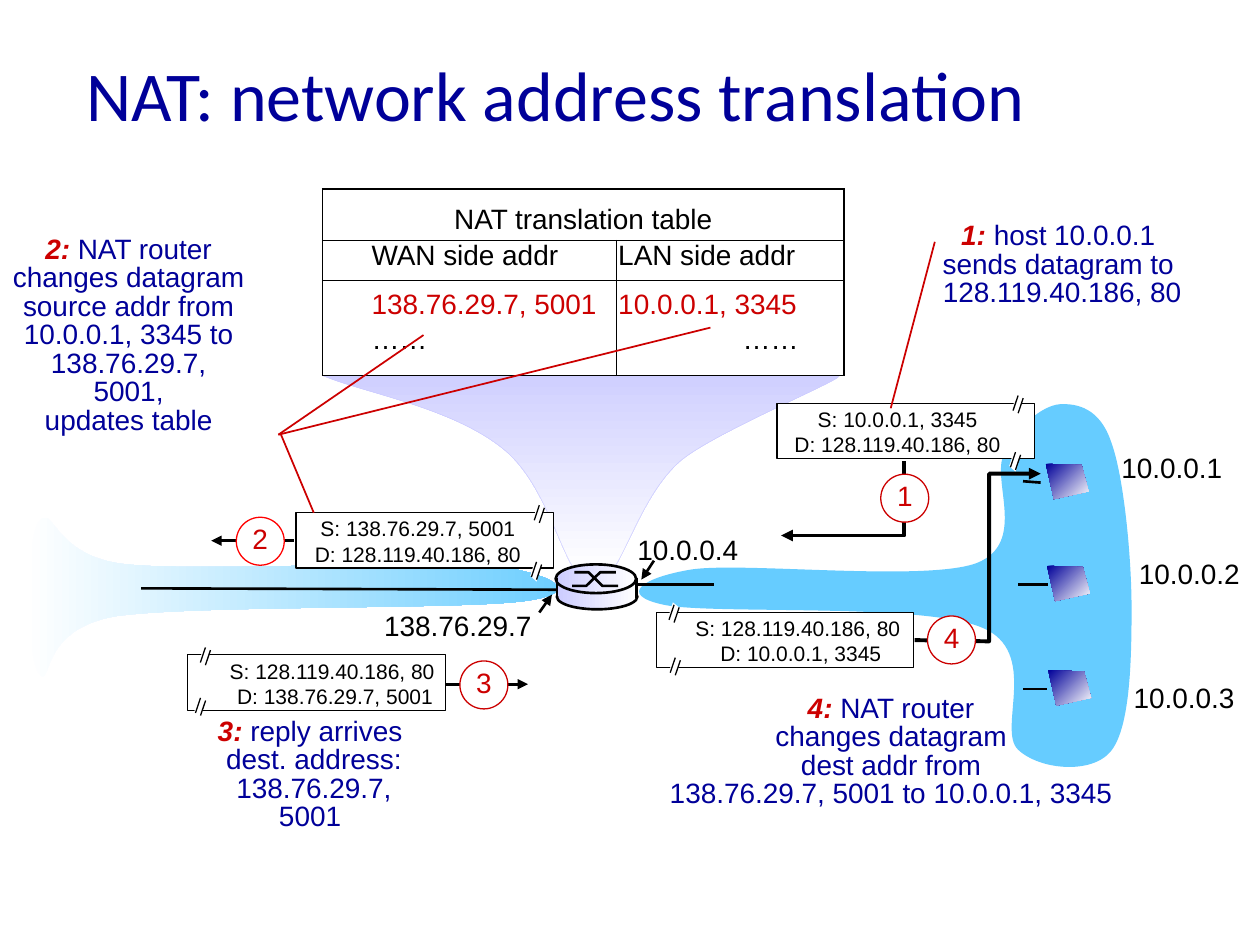
from dataclasses import dataclass
from lxml import etree
from pptx import Presentation
from pptx.dml.color import RGBColor as RGB
from pptx.enum import shapes, text
from pptx.oxml.ns import qn
from pptx.util import Pt


@dataclass(frozen=True)
class Theme:
    navy: str = "000099"
    red: str = "CC0000"
    hot: str = "FF0000"
    sky: str = "66CCFF"
    lilac: str = "CCCCFF"
    black: str = "000000"
    white: str = "FFFFFF"
    font: str = "Arial"
    head: str = "Calibri"
    title: int = 40
    body: int = 16
    small: int = 12


T = Theme()
RECT, OVAL = shapes.MSO_SHAPE.RECTANGLE, shapes.MSO_SHAPE.OVAL
MID, LEFT, RIGHT = text.PP_ALIGN.CENTER, text.PP_ALIGN.LEFT, text.PP_ALIGN.RIGHT

prs = Presentation()
prs.slide_width, prs.slide_height = Pt(720), Pt(540)
slide = prs.slides.add_slide(prs.slide_layouts[5])
tree = slide.shapes


def say(frame, words, lead="", size=T.body, color=T.black, font=T.font,
        align=MID, gap=None, wrap=False, fit=text.MSO_AUTO_SIZE.SHAPE_TO_FIT_TEXT):
    """Write lines into a text frame, or into a new box given as (x, y, w, h)."""
    if isinstance(frame, tuple):
        frame = tree.add_textbox(*map(Pt, frame)).text_frame
    if fit is not None:
        frame.word_wrap, frame.auto_size = wrap, fit
    for i, line in enumerate(words.split("\n")):
        para = frame.paragraphs[0] if i == 0 else frame.add_paragraph()
        para.alignment = align
        if gap:
            para.line_spacing = gap
        parts = [(lead, True), (line, False)] if lead and i == 0 else [(line, False)]
        for part, strong in parts:
            run = para.add_run()
            run.text = part
            run.font.name, run.font.size = font, Pt(size)
            run.font.bold = run.font.italic = strong
            run.font.color.rgb = RGB.from_string(T.red if strong else color)


def draw(pts, kind=None, fill=None, turn=0, line=None, wide=1.5, head=False):
    """Draw a preset shape in box pts, a line of two points, or an outline.

    A six-number point is a cubic curve; a pair of fills is a gradient whose
    clockwise angle is turn; head puts an arrowhead on the first point.
    """
    if kind:
        shape = tree.add_shape(kind, *map(Pt, pts))
    elif len(pts) == 2:
        shape = tree.add_connector(shapes.MSO_CONNECTOR.STRAIGHT,
                                   *map(Pt, pts[0] + pts[1]))
    else:
        flat = [(Pt(p[k]), Pt(p[k + 1])) for p in pts for k in range(0, len(p), 2)]
        pen = tree.build_freeform(*flat[0])
        pen.add_line_segments(flat[1:], close=bool(fill))
        shape = pen.convert_to_shape()
        steps = iter(list(shape.element.iter(qn("a:lnTo"))))
        for p in pts[1:]:
            step = next(steps)
            if len(p) == 6:  # join three straight steps into one curve
                curve = etree.Element(qn("a:cubicBezTo"))
                step.addprevious(curve)
                for part in (step, next(steps), next(steps)):
                    curve.append(part[0])
                    part.getparent().remove(part)
    if line:
        shape.line.color.rgb = RGB.from_string(line)
        shape.line.width = Pt(wide)
    else:
        shape.line.fill.background()
    if head:
        etree.SubElement(shape.element.spPr.find(qn("a:ln")), qn("a:headEnd"),
                         type="triangle")
    if not kind and len(pts) == 2:
        etree.SubElement(shape.element.spPr, qn("a:effectLst"))
        return
    shape.shadow.inherit = False
    if not fill:
        shape.fill.background()
    elif isinstance(fill, tuple):
        shape.fill.gradient()
        shape.fill.gradient_angle = (360 - turn) % 360
        for stop, color, spot in zip(shape.fill.gradient_stops, fill, (0, 1)):
            stop.color.rgb, stop.position = RGB.from_string(color), spot
    else:
        shape.fill.solid()
        shape.fill.fore_color.rgb = RGB.from_string(fill)


# Title
title = tree.title
title.left, title.top, title.width, title.height = map(Pt, (42, 18, 637, 71))
title.text_frame.vertical_anchor = text.MSO_ANCHOR.MIDDLE
say(title.text_frame, "NAT: network address translation", size=T.title, color=T.navy,
    font=T.head, align=LEFT, wrap=True, fit=text.MSO_AUTO_SIZE.NONE)

# Wide and local network clouds, and the funnel from router to table
draw([(282.2, 323.3), (244, 319.7, 116.6, 326.9, 73.4, 322.6),
      (30.2, 319, 31, 287.3, 22.3, 298), (14.4, 308, 15, 375.8, 22.3, 385),
      (30.2, 394.6, 21, 359.3, 67, 352), (113.8, 345.6, 265, 348.5, 300.2, 343.4),
      (336.2, 338.4, 314, 327.6, 282.2, 323.3)], fill=(T.white, T.sky))
draw([(395.3, 325.4), (425.5, 321, 528.5, 332.6, 558, 321.8),
      (587.5, 310.3, 566, 274.3, 573.8, 259.2), (581, 244, 595.4, 231.8, 605.5, 231),
      (615.6, 230.4, 628.6, 233.3, 635, 252.7), (642.2, 272.2, 646.6, 318.2, 646.6, 347.8),
      (646.6, 377.3, 645.8, 415.4, 635, 429), (624.2, 442.8, 594, 440, 581.8, 428.4),
      (569.5, 417, 594.7, 372.2, 561, 358.6), (527, 344.2, 406.8, 351.4, 379.4, 345.6),
      (352, 339.8, 368, 329.8, 395.3, 325.4)], fill=T.sky)
draw([(184.3, 214.6), (184.3, 214.6, 444.2, 206.6, 478.8, 214.6),
      (489, 213.8, 411, 245.5, 389.5, 262.8), (368, 280.8, 357.8, 317.5, 348.5, 327.6),
      (329.8, 327.6), (319.7, 315.4, 311, 275, 287.3, 256.3),
      (257.8, 232.6, 208, 224.6, 184.3, 214.6)],
     fill=(T.lilac, T.white), turn=90, line=T.lilac, wide=0.25)

# Translation table
rows = [("NAT translation table", ""), ("WAN side addr", "LAN side addr"),
        ("138.76.29.7, 5001", "10.0.0.1, 3345"), ("……", "……")]
grid = tree.add_table(4, 2, Pt(184.3), Pt(108), Pt(298), Pt(106.6)).table
grid.first_row = grid.horz_banding = False
for col, wide in zip(grid.columns, (168, 130)):
    col.width = Pt(wide)
for row, tall in zip(grid.rows, (29.4, 23, 25, 29.2)):
    row.height = Pt(tall)
grid.cell(0, 0).merge(grid.cell(0, 1))
for r, pair in enumerate(rows):
    for c, words in enumerate(pair):
        cell = grid.cell(r, c)
        cell.margin_top, cell.margin_bottom = Pt((6, 0, 3, 0)[r]), 0
        cell.margin_left = Pt(0 if r == 0 else (28, 1)[c])
        cell.margin_right = Pt(26 if r == 3 and c else 0)
        cell.vertical_anchor = text.MSO_ANCHOR.TOP if r in (1, 3) else text.MSO_ANCHOR.MIDDLE
        cell.fill.solid()
        cell.fill.fore_color.rgb = RGB.from_string(T.white)
        if words:
            say(cell.text_frame, words, color=T.red if r == 2 else T.black, fit=None,
                align=MID if r == 0 else RIGHT if r == 3 and c else LEFT)
        sides = {"lnL": c == 0 or r > 0, "lnR": True, "lnT": r < 3, "lnB": r != 2}
        for k, (side, shown) in enumerate(sides.items()):
            edge = etree.Element(qn("a:" + side), w=str(Pt(0.75)))
            ink = etree.SubElement(edge, qn("a:solidFill" if shown else "a:noFill"))
            if shown:
                etree.SubElement(ink, qn("a:srgbClr"), val=T.black)
            cell._tc.tcPr.insert(k, edge)

# Datagrams: box, text shift, torn edges, arrow, numbered circle
grams = [
    ("1", (444, 230.4), -0.7, "S: 10.0.0.1, 3345\nD: 128.119.40.186, 80",
     [(578.2, 224.6), (576.7, 257)], [(446.4, 306), (516.6, 306), (516.6, 263.5)], (503.3, 271)),
    ("4", (375, 350), 13, "S: 128.119.40.186, 80 \nD: 10.0.0.1, 3345",
     [(381.6, 344.2), (382.3, 374.4)],
     [(594.7, 270.7), (565.2, 270.7), (565.2, 366.5), (522.7, 365.8)], (530, 352)),
    ("2", (169.2, 293), 0, "S: 138.76.29.7, 5001\nD: 128.119.40.186, 80",
     [(304.6, 287.3), (303, 319.7)], [(120.7, 309), (167.8, 309)], (135, 295.6)),
    ("3", (107.3, 374.2), 14.6, "S: 128.119.40.186, 80 \nD: 138.76.29.7, 5001",
     [(113.8, 368.6), (111, 397.4)], [(301.7, 391), (255, 391)], (262.8, 377.7))]
for num, (x, y), shift, words, tears, route, (cx, cy) in grams:
    draw((x, y, 147.2, 31.7), RECT, fill=T.white, line=T.black, wide=0.75)
    say((x + shift, y - 1.7, 139.3, 36), words, size=T.small, wrap=True)
    for a, b in tears:
        draw([(a + 2.9, b), (a, b + 9.3), (a + 3.6, b + 12.6), (a + 6.5, b + 2.9)],
             fill=T.white)
        for dx, dy in ((0, 0), (2.9, 1.5)):
            draw([(a + dx + 3.6, b + dy + 1.4), (a + dx + 0.7, b + dy + 10)],
                 line=T.black, wide=0.75)
    draw(route, line=T.black, wide=1.5 if len(route) == 2 else 2.25, head=True)
    draw((cx, cy, 27.4, 27.4), OVAL, fill=T.white, wide=0.75,
         line=T.hot if num == "2" else T.red)
    say((cx + 1.5, cy - 1.2, 24.5, 28.8), num, color=T.red)

# Step notes and their pointers
notes = [
    ("1: ", (531.4, 123.8, 151, 62.6),
     "host 10.0.0.1 \nsends datagram to \n128.119.40.186, 80"),
    ("2: ", (0, 131.6, 147, 117.4),
     "NAT router\nchanges datagram\nsource addr from\n10.0.0.1, 3345 to\n"
     "138.76.29.7, 5001,\nupdates table"),
    ("3: ", (103.7, 407, 147, 62.6), "reply arrives\n dest. address:\n 138.76.29.7, 5001"),
    ("4: ", (373.7, 393.8, 271, 102.2),
     "NAT router\nchanges datagram\ndest addr from\n138.76.29.7, 5001 to 10.0.0.1, 3345 ")]
for lead, box, words in notes:
    say(box, words, lead=lead, color=T.navy, gap=0.85)
for ends in ([(534.2, 138.2), (509, 233.3)], [(160.6, 248.4), (179.3, 293)],
             [(159.1, 248.4), (242, 191.5)], [(159.1, 248.4), (406, 187.2)]):
    draw(ends, line=T.red, wide=1)

# Addresses, network links and address pointers
for x, y, wide, words in ((633.2, 254.2, 72.7, "10.0.0.1"), (643.2, 314.6, 72.7, "10.0.0.2"),
                          (640.3, 385.2, 72.7, "10.0.0.3"), (356.7, 301, 72.7, "10.0.0.4"),
                          (211.9, 344.5, 99.4, "138.76.29.7")):
    say((x, y, wide, 26.6), words)
for ends in ([(80.6, 336.2), (319, 337)], [(360.7, 334), (408.2, 334)],
             [(584.6, 275), (594.7, 275.8)], [(581.8, 334), (599, 334)],
             [(584.6, 393.8), (598.3, 393.8)]):
    draw(ends, line=T.black)
for ends in ([(366.5, 331.2), (373.7, 320.4)], [(315.4, 339.8), (308.2, 350)]):
    draw(ends, line=T.black, head=True)

# Router
metal = (T.lilac, T.white)
draw((318.2, 333.8, 46, 14.4), OVAL, fill=metal, line=T.black)
draw((318.2, 332, 46, 8.6), RECT, fill=metal)
draw((317.5, 322.5, 46, 16.4), OVAL, fill=metal, line=T.black)
for x, a, b in ((327, 334.8, 327), (328.3, 327, 334.8)):
    draw([(x, a), (x + 8, a), (x + 16, b), (x + 25, b)], line=T.black)
for x in (318.2, 363.6):
    draw([(x, 330.5), (x, 341.6)], line=T.black)

# Hosts
for x, y in ((597.6, 265), (598.3, 323.3), (599, 383)):
    draw([(x, y), (x + 20.5, y + 0.7), (x + 24.5, y + 15.8), (x + 4.7, y + 20.2)],
         fill=(T.navy, T.white), turn=45)

prs.save("out.pptx")
